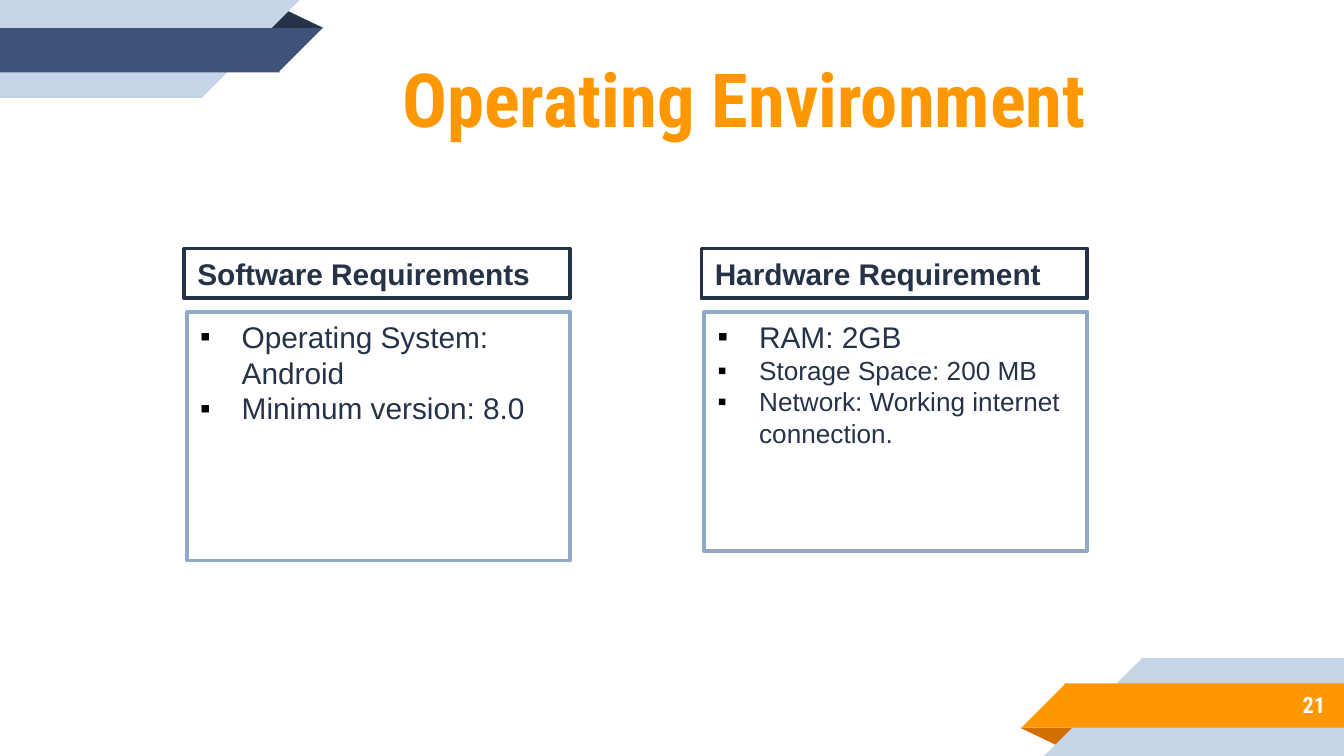
import pptx
import pptx.dml.color
import pptx.enum.shapes
import pptx.enum.text
import pptx.oxml
import pptx.oxml.ns
import pptx.util

SLIDE_WIDTH = 10
SLIDE_HEIGHT = SLIDE_WIDTH * 9 / 16
NAVY, SLATE, MIST, STEEL = "263248", "3F5378", "C7D3E6", "92A8C8"
ORANGE, BROWN, WHITE, BLACK = "FF9800", "D26F00", "FFFFFF", "000000"
BODY_FONT, HEADING_FONT = "Arial", "Roboto Condensed"

TITLE = "Operating Environment"
SLIDE_NUMBER = "21"
COLUMNS = [
    {"heading": "Software Requirements", "height": 1.85,
     "items": [("Operating System: Android", 16), ("Minimum version: 8.0", 16)]},
    {"heading": "Hardware Requirement", "height": 1.78,
     "items": [("RAM: 2GB", 16), ("Storage Space: 200 MB", 14),
               ("Network: Working internet connection.", 14)]},
]
COLUMN_LEFT, COLUMN_STEP, COLUMN_WIDTH = 1.37, 3.85, 2.87
HEADING_TOP, HEADING_HEIGHT, BODY_TOP = 1.85, 0.37, 2.32
BULLET_INDENT = 0.31

PRESETS = pptx.enum.shapes.MSO_SHAPE
ALIGN = pptx.enum.text.PP_ALIGN
ANCHOR = pptx.enum.text.MSO_ANCHOR

# Ribbon parts in the top left corner: preset, box, turn in degrees, colour role.
# Each rectangle reaches 0.01 into its triangle, so that no seam shows.
RIBBON = [
    (PRESETS.ISOSCELES_TRIANGLE, (1.98, 0.07, 0.43, 0.14), 0, "fold"),
    (PRESETS.RECTANGLE, (0, 0, 1.51, 0.73), 0, "back"),
    (PRESETS.RIGHT_TRIANGLE, (1.5, 0, 0.73, 0.73), 90, "back"),
    (PRESETS.RECTANGLE, (0, 0.21, 2.08, 0.33), 0, "band"),
    (PRESETS.RIGHT_TRIANGLE, (2.07, 0.21, 0.33, 0.33), 90, "band"),
]


def rgb(color):
    return pptx.dml.color.RGBColor.from_string(color)


def inches(*lengths):
    return [pptx.util.Inches(length) for length in lengths]


def add_filled_shape(slide, preset, box, fill, line=None):
    shape = slide.shapes.add_shape(preset, *inches(*box))
    shape.shadow.inherit = False
    shape.fill.solid()
    shape.fill.fore_color.rgb = rgb(fill)
    if line:
        shape.line.color.rgb = rgb(line)
        shape.line.width = pptx.util.Pt(2)
    else:
        shape.line.fill.background()
    return shape


def add_ribbon(slide, colors, opposite=False):
    """Draw the corner ribbon, turned half round the slide centre if opposite."""
    for preset, (left, top, width, height), turn, role in RIBBON:
        if opposite:
            left = SLIDE_WIDTH - left - width
            top = SLIDE_HEIGHT - top - height
            turn += 180
        shape = add_filled_shape(slide, preset, (left, top, width, height), colors[role])
        shape.rotation = turn
        if role == "fold":
            shape.adjustments[0] = 0.32


def write(paragraph, text, size, font, color, bold=False, align=ALIGN.LEFT):
    paragraph.alignment = align
    run = paragraph.add_run()
    run.text = text
    run.font.size = pptx.util.Pt(size)
    run.font.name = font
    run.font.bold = bold
    run.font.color.rgb = rgb(color)


def add_bullet(paragraph):
    properties = paragraph._p.get_or_add_pPr()
    indent = pptx.util.Inches(BULLET_INDENT)
    properties.set("marL", str(indent))
    properties.set("indent", str(-indent))
    namespace = pptx.oxml.ns.nsdecls("a")
    for xml in (f'<a:buClr {namespace}><a:srgbClr val="{BLACK}"/></a:buClr>',
                f'<a:buFont {namespace} typeface="{BODY_FONT}"/>',
                f'<a:buChar {namespace} char="▪"/>'):
        properties.append(pptx.oxml.parse_xml(xml))


def set_frame(frame, anchor, vertical_inset):
    frame.word_wrap = True
    frame.auto_size = pptx.enum.text.MSO_AUTO_SIZE.NONE
    frame.vertical_anchor = anchor
    frame.margin_left = frame.margin_right = pptx.util.Inches(0.1)
    frame.margin_top = frame.margin_bottom = pptx.util.Inches(vertical_inset)


def add_column(slide, left, column):
    heading = add_filled_shape(slide, PRESETS.RECTANGLE,
                               (left, HEADING_TOP, COLUMN_WIDTH, HEADING_HEIGHT), WHITE, NAVY)
    set_frame(heading.text_frame, ANCHOR.TOP, 0.05)
    write(heading.text_frame.paragraphs[0], column["heading"], 16, BODY_FONT, NAVY, bold=True)

    body_box = (left + 0.02, BODY_TOP, COLUMN_WIDTH - 0.02, column["height"])
    body = add_filled_shape(slide, PRESETS.RECTANGLE, body_box, WHITE, STEEL)
    frame = body.text_frame
    set_frame(frame, ANCHOR.TOP, 0.05)
    for index, (text, size) in enumerate(column["items"]):
        paragraph = frame.add_paragraph() if index else frame.paragraphs[0]
        write(paragraph, text, size, BODY_FONT, NAVY)
        add_bullet(paragraph)


def main():
    presentation = pptx.Presentation()
    presentation.slide_width, presentation.slide_height = inches(SLIDE_WIDTH, SLIDE_HEIGHT)
    slide = presentation.slides.add_slide(presentation.slide_layouts[5])

    add_ribbon(slide, {"fold": NAVY, "back": MIST, "band": SLATE})
    add_ribbon(slide, {"fold": BROWN, "back": MIST, "band": ORANGE}, opposite=True)

    number = slide.shapes.add_textbox(*inches(8.33, 5.07, 1.63, 0.35))
    set_frame(number.text_frame, ANCHOR.MIDDLE, 0.1)
    write(number.text_frame.paragraphs[0], SLIDE_NUMBER, 12, HEADING_FONT, WHITE,
          bold=True, align=ALIGN.RIGHT)

    title = slide.shapes.title
    title.left, title.top, title.width, title.height = inches(1.93, 0.09, 7.21, 1.27)
    set_frame(title.text_frame, ANCHOR.MIDDLE, 0.1)
    write(title.text_frame.paragraphs[0], TITLE, 40, HEADING_FONT, ORANGE,
          bold=True, align=ALIGN.CENTER)

    for index, column in enumerate(COLUMNS):
        add_column(slide, COLUMN_LEFT + index * COLUMN_STEP, column)

    presentation.save("out.pptx")


if __name__ == "__main__":
    main()
